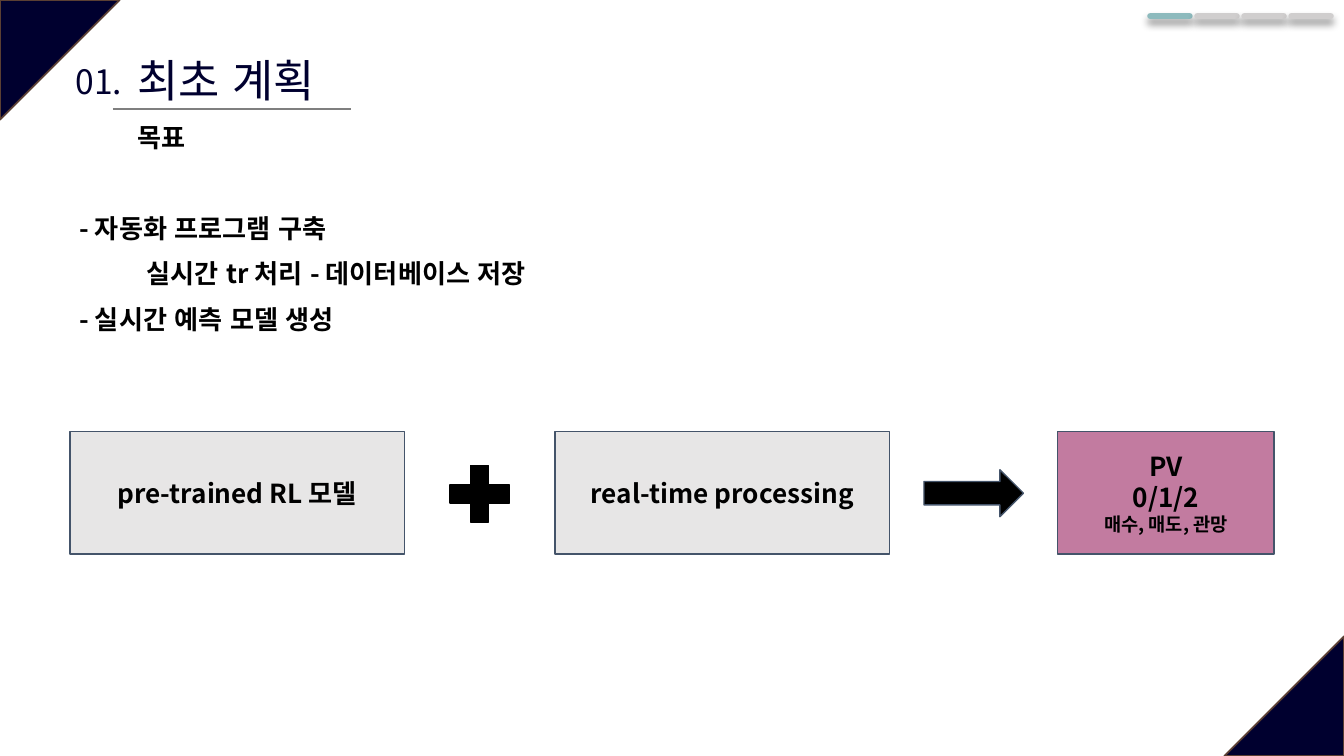
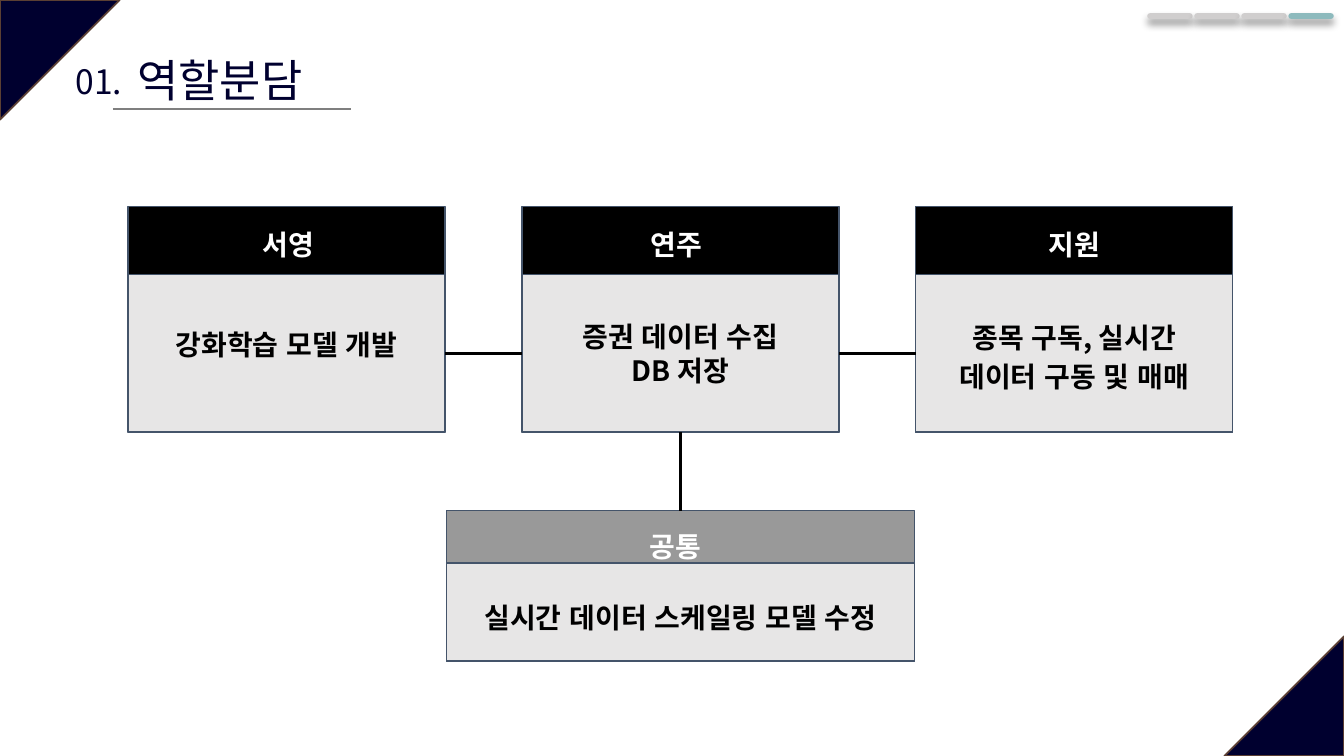
from dataclasses import dataclass, replace
from typing import Any, NamedTuple, Optional

from lxml import etree
from pptx import Presentation
from pptx.dml.color import RGBColor
from pptx.enum.lang import MSO_LANGUAGE_ID
from pptx.enum.shapes import MSO_CONNECTOR, MSO_SHAPE
from pptx.enum.text import MSO_ANCHOR, MSO_AUTO_SIZE, PP_ALIGN
from pptx.oxml.ns import qn
from pptx.util import Inches, Pt

STRAIGHT = MSO_CONNECTOR.STRAIGHT
RECT, TRIANGLE = MSO_SHAPE.RECTANGLE, MSO_SHAPE.ISOSCELES_TRIANGLE
PLUS, ARROW = MSO_SHAPE.MATH_PLUS, MSO_SHAPE.RIGHT_ARROW
LEFT, CENTER = PP_ALIGN.LEFT, PP_ALIGN.CENTER
TOP, MIDDLE = MSO_ANCHOR.TOP, MSO_ANCHOR.MIDDLE
GROW, FIXED = MSO_AUTO_SIZE.SHAPE_TO_FIT_TEXT, MSO_AUTO_SIZE.NONE
KOREAN = MSO_LANGUAGE_ID.KOREAN
TOP_SIDE, LEFT_SIDE, BOTTOM_SIDE, RIGHT_SIDE = range(4)

FONT = "Noto Sans CJK KR"
NAVY, BROWN, SLATE = "00002F", "5B3F33", "44546A"
BLACK, WHITE, PALE, GRAY, RULE = "000000", "FFFFFF", "E7E6E6", "999999", "7F7F7F"
ACTIVE, IDLE, PINK = "8DBABD", "D0CECE", "C27BA0"

WIDTH = Inches(10)
HEIGHT = WIDTH * 9 // 16
COLUMNS, ROWS = 100, 56.25
STEPS = 4


class Area(NamedTuple):
    left: float
    top: float
    width: float
    height: float


@dataclass(frozen=True)
class Style:
    size: float = 14
    color: str = BLACK
    bold: bool = True
    align: Any = CENTER
    spacing: Optional[float] = None
    before: float = 0
    indent: float = 0


class Line(NamedTuple):
    text: str
    style: Style


@dataclass(frozen=True)
class Role:
    area: Area
    header_rows: float
    header_fill: str
    label: Area
    name: str
    duty_top: float
    duty_width: float
    duty_height: float
    duties: tuple[str, ...]
    spacing: Optional[float] = None


TITLE = Style(24, NAVY, False, LEFT)
NUMBER = Style(18, NAVY, False)
STAGE = Style()
GOAL = Style(align=LEFT, spacing=1.15)
NEXT_GOAL = replace(GOAL, before=5)
DUTY = Style(15)
ROLE_NAME = replace(DUTY, color=WHITE)


def col(value: float) -> int:
    return round(WIDTH * value / COLUMNS)


def row(value: float) -> int:
    return round(HEIGHT * value / ROWS)


def place(area: Area) -> tuple[int, int, int, int]:
    return col(area.left), row(area.top), col(area.width), row(area.height)


def rgb(value: str) -> RGBColor:
    return RGBColor.from_string(value)


def apply(target: Any, values: dict[str, Any]) -> None:
    for key, value in values.items():
        setattr(target, key, value)


def write(shape: Any, lines: list[Line], inset: tuple[float, float],
          anchor: Any = TOP, fit: Any = GROW) -> None:
    frame = shape.text_frame
    side, edge = (Inches(length) for length in inset)
    apply(frame, {"word_wrap": True, "auto_size": fit, "vertical_anchor": anchor,
                  "margin_left": side, "margin_right": side,
                  "margin_top": edge, "margin_bottom": edge})
    for index, (text, style) in enumerate(lines):
        paragraph = frame.add_paragraph() if index else frame.paragraphs[0]
        apply(paragraph, {"alignment": style.align, "line_spacing": style.spacing,
                          "space_before": Pt(style.before)})
        if style.indent:
            paragraph._p.get_or_add_pPr().set("indent", str(col(style.indent)))
        run = paragraph.add_run()
        run.text = text
        apply(run.font, {"size": Pt(style.size), "bold": style.bold, "name": FONT,
                         "language_id": KOREAN})
        run.font.color.rgb = rgb(style.color)
        etree.SubElement(run.font._element, qn("a:ea"), typeface=FONT)


def add_text(slide: Any, area: Area, lines: list[Line],
             inset: tuple[float, float] = (0.07, 0.04)) -> None:
    write(slide.shapes.add_textbox(*place(area)), lines, inset)


def add_block(slide: Any, kind: Any, area: Area, fill: str, outline: str = SLATE,
              weight: float = 0.75, adjust: Optional[float] = None,
              turn: float = 0) -> Any:
    block = slide.shapes.add_shape(kind, *place(area))
    block.shadow.inherit = False
    block.fill.solid()
    block.fill.fore_color.rgb = rgb(fill)
    block.line.color.rgb = rgb(outline)
    block.line.width = Pt(weight)
    block.rotation = turn
    if adjust is not None:
        block.adjustments[0] = adjust
    return block


def add_line(slide: Any, left: float, top: float, length: float, color: str,
             weight: float, raised: bool = False) -> Any:
    line = slide.shapes.add_connector(
        STRAIGHT, col(left), row(top), col(left + length), row(top))
    line.line.color.rgb = rgb(color)
    line.line.width = Pt(weight)
    properties = line._element.spPr
    effects = etree.SubElement(properties, qn("a:effectLst"))
    if raised:
        properties.find(qn("a:ln")).set("cap", "rnd")
        shadow = etree.SubElement(effects, qn("a:outerShdw"), blurRad=str(Pt(4)),
                                  dist=str(Pt(3)), dir="5400000",
                                  algn="t", rotWithShape="0")
        tint = etree.SubElement(shadow, qn("a:srgbClr"), val=BLACK)
        etree.SubElement(tint, qn("a:alpha"), val="40000")
    return line


def join(slide: Any, begin: Any, begin_side: int, end: Any, end_side: int) -> None:
    link = add_line(slide, 0, 0, 0, BLACK, 1.5)
    link.begin_connect(begin, begin_side)
    link.end_connect(end, end_side)


def add_page(deck: Any, title: str, title_width: float, step: int) -> Any:
    slide = deck.slides.add_slide(deck.slide_layouts[6])
    corner = 8.9
    for left, top, turn in ((0, 0, 90), (COLUMNS - corner, ROWS - corner, 270)):
        add_block(slide, TRIANGLE, Area(left, top, corner, corner), NAVY, BROWN,
                  1, 0, turn)
    add_line(slide, 8.4, 8.1, 17.7, RULE, 0.75)
    add_text(slide, Area(9.53, 3.55, title_width, 4.8), [Line(title, TITLE)])
    add_text(slide, Area(3.8, 4.1, 7.1, 3.8), [Line("01.", NUMBER)])
    for index in range(STEPS):
        add_line(slide, 85.6 + 3.5 * index, 1.2, 2.9,
                 ACTIVE if index == step else IDLE, 3.5, True)
    return slide


def add_role(slide: Any, role: Role) -> tuple[Any, Any]:
    left, top, width, height = role.area
    card = add_block(slide, RECT, role.area, role.header_fill)
    body = add_block(slide, RECT, Area(left, top + role.header_rows, width,
                                       height - role.header_rows), PALE)
    duty = replace(DUTY, spacing=role.spacing)
    duty_area = Area(left + (width - role.duty_width) / 2, role.duty_top,
                     role.duty_width, role.duty_height)
    inset = (0.1, 0.1)
    add_text(slide, role.label, [Line(role.name, ROLE_NAME)], inset)
    add_text(slide, duty_area, [Line(text, duty) for text in role.duties], inset)
    return card, body


def build_plan(deck: Any) -> None:
    slide = add_page(deck, "최초 계획", 30.1, 0)
    add_text(slide, Area(5.2, 15.05, 85.1, 16.5), [
        Line("- 자동화 프로그램 구축", GOAL),
        Line("실시간 tr 처리 - 데이터베이스 저장", replace(NEXT_GOAL, indent=5)),
        Line("- 실시간 예측 모델 생성", NEXT_GOAL),
    ])
    add_text(slide, Area(9.53, 8.3, 10.8, 3.1), [Line("목표", GOAL)])
    stages = (
        (5.2, 24.9, PALE, [Line("pre-trained RL 모델", STAGE)]),
        (41.3, 24.9, PALE, [Line("real-time processing", STAGE)]),
        (78.7, 16.1, PINK, [Line("PV", STAGE), Line("0/1/2", STAGE),
                            Line("매수, 매도, 관망", replace(STAGE, size=10))]),
    )
    for left, width, fill, lines in stages:
        stage = add_block(slide, RECT, Area(left, 32.13, width, 9.1), fill)
        write(stage, lines, (0.1, 0.1), MIDDLE, FIXED)
    add_block(slide, PLUS, Area(32.7, 33.9, 6, 5.7), BLACK, BLACK, adjust=0.235)
    add_block(slide, ARROW, Area(68.75, 34.95, 7.4, 3.5), BLACK)


def build_roles(deck: Any) -> None:
    slide = add_page(deck, "역할분담", 15.5, 3)
    members = (
        ("서영", 12.9, 23.4, 4.5, ("강화학습 모델 개발",), None),
        ("연주", 41.8, 22.8, 7.1, ("증권 데이터 수집", "DB 저장"), None),
        ("지원", 71.4, 22.5, 7.4, ("종목 구독, 실시간 데이터 구동 및 매매",), 1.15),
    )
    bodies = []
    for index, (name, label_left, duty_top, duty_height, duties,
                spacing) in enumerate(members):
        area = Area(9.53 + 29.3 * index, 15.35, 23.6, 16.8)
        label = Area(label_left, 15.9, 17.1, 4.5)
        _, body = add_role(slide, Role(area, 5.1, BLACK, label, name, duty_top,
                                       21, duty_height, duties, spacing))
        bodies.append(body)
    shared, _ = add_role(slide, Role(
        Area(33.23, 38, 34.8, 11.2), 3.9, GRAY, Area(37.7, 38.4, 25.1, 4.5),
        "공통", 43.3, 36.5, 4.5, ("실시간 데이터 스케일링 모델 수정",), 1.15))
    join(slide, shared, TOP_SIDE, bodies[1], BOTTOM_SIDE)
    for near, far in zip(bodies, bodies[1:]):
        join(slide, near, RIGHT_SIDE, far, LEFT_SIDE)


def main() -> None:
    deck = Presentation()
    apply(deck, {"slide_width": WIDTH, "slide_height": HEIGHT})
    build_plan(deck)
    build_roles(deck)
    deck.save("out.pptx")


if __name__ == "__main__":
    main()
